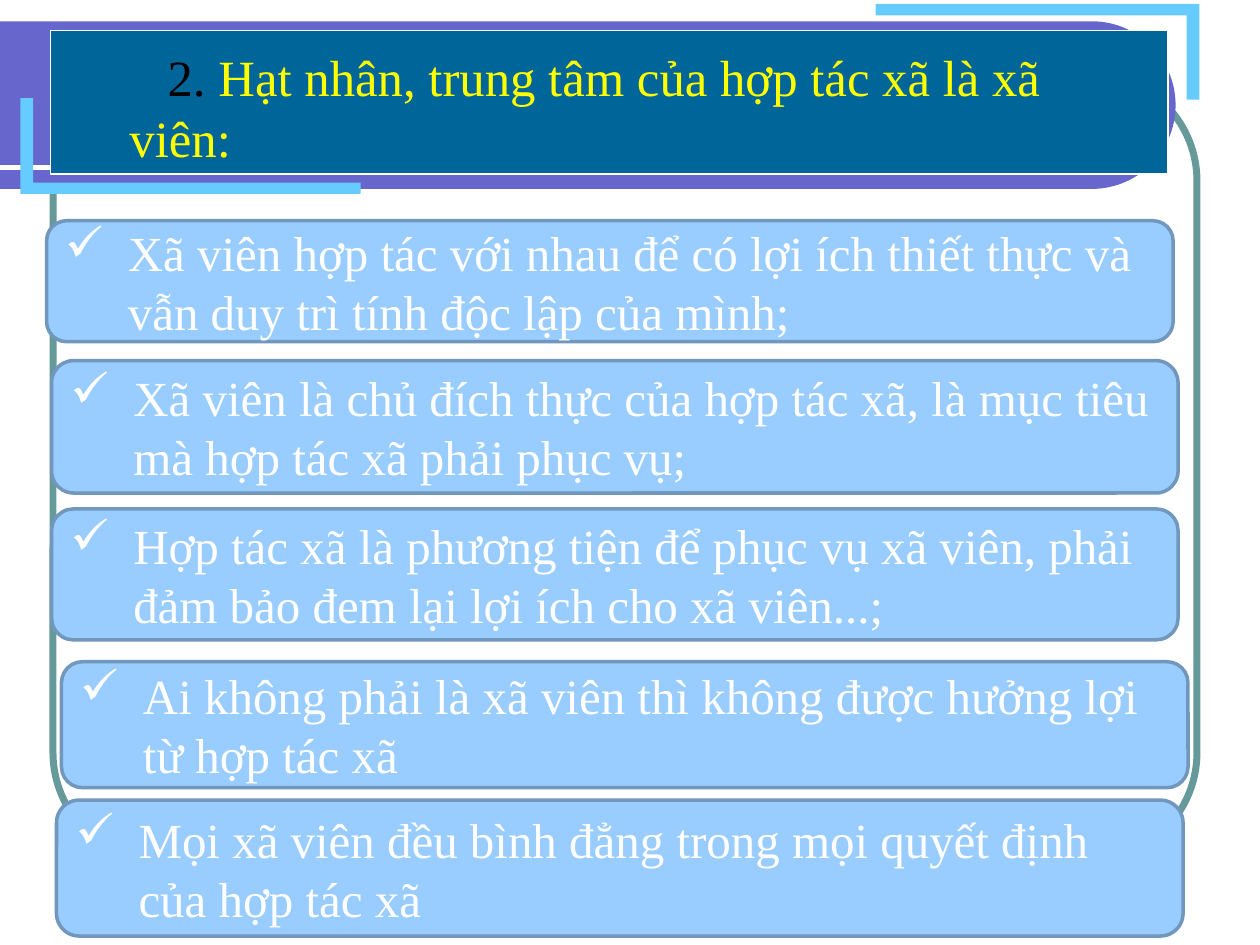
import math

import pptx
import pptx.dml.color
import pptx.enum.shapes
import pptx.enum.text
import pptx.oxml
import pptx.oxml.ns
import pptx.util

RGBColor = pptx.dml.color.RGBColor
Cm = pptx.util.Cm
Pt = pptx.util.Pt
MSO_SHAPE = pptx.enum.shapes.MSO_SHAPE

WHITE = RGBColor(0xFF, 0xFF, 0xFF)
BLACK = RGBColor(0x00, 0x00, 0x00)
YELLOW = RGBColor(0xFF, 0xFF, 0x00)
TEAL = RGBColor(0x66, 0x99, 0x99)
PURPLE = RGBColor(0x66, 0x66, 0xCC)
SKY = RGBColor(0x66, 0xCC, 0xFF)
NAVY = RGBColor(0x00, 0x66, 0x99)
PALE_BLUE = RGBColor(0x99, 0xCC, 0xFF)
STEEL = RGBColor(0x71, 0x97, 0xBD)

FONT = "Times New Roman"
TITLE_RUNS = [
    ("2. ", BLACK),
    ("Hạt nhân, trung tâm của hợp tác xã là xã viên:", YELLOW),
]
CARD_WIDTH = 22.71
# left, top, height in cm, then the wording
CARDS = [
    (0.94, 4.45, 2.44, "Xã viên hợp tác với nhau để có lợi ích thiết thực và vẫn duy trì tính độc lập của mình;"),
    (1.04, 7.27, 2.67, "Xã viên là chủ đích thực của hợp tác xã, là mục tiêu mà hợp tác xã phải phục vụ;"),
    (1.04, 10.26, 2.64, "Hợp tác xã là phương tiện để phục vụ xã viên, phải đảm bảo đem lại lợi ích cho xã viên...;"),
    (1.24, 13.34, 2.54, "Ai không phải là xã viên thì không được hưởng lợi từ hợp tác xã"),
    (1.14, 16.13, 2.74, "Mọi xã viên đều bình đẳng trong mọi quyết định của hợp tác xã"),
]


def style(shape, fill=None, line=None, line_width=1):
    shape.shadow.inherit = False
    for part, color in ((shape.fill, fill), (shape.line.fill, line)):
        if color is None:
            part.background()
        else:
            part.solid()
            part.fore_color.rgb = color
    if line is not None:
        shape.line.width = Pt(line_width)


def add_box(slide, kind, left, top, width, height, **look):
    shape = slide.shapes.add_shape(kind, Cm(left), Cm(top), Cm(width), Cm(height))
    style(shape, **look)
    return shape


def add_outline(slide, points, fill):
    corners = [(Cm(x), Cm(y)) for x, y in points]
    builder = slide.shapes.build_freeform(*corners[0])
    builder.add_line_segments(corners[1:], close=True)
    style(builder.convert_to_shape(), fill=fill)


def add_band(slide, top, bottom, right):
    """Draw a band from the left slide edge that ends in a half circle."""
    radius = (bottom - top) / 2
    angles = [math.radians(degree) for degree in range(-90, 91, 3)]
    arc = [(right - radius + radius * math.cos(angle), top + radius + radius * math.sin(angle))
           for angle in angles]
    add_outline(slide, [(0, top)] + arc + [(0, bottom)], PURPLE)


def add_bracket(slide, corner_x, corner_y, width, height):
    """Draw an L from its outer corner; the signs of the sizes set its direction."""
    bar_x, bar_y = math.copysign(0.26, width), math.copysign(0.23, height)
    offsets = [(0, 0), (width, 0), (width, bar_y), (bar_x, bar_y), (bar_x, height), (0, height)]
    add_outline(slide, [(corner_x + x, corner_y + y) for x, y in offsets], SKY)


def add_run(paragraph, text, size, color):
    run = paragraph.add_run()
    run.text = text
    run.font.name = FONT
    run.font.size = Pt(size)
    run.font.color.rgb = color


def set_indent(paragraph, left, first_line, bullet=None):
    properties = paragraph._p.get_or_add_pPr()
    properties.set("marL", str(Cm(left)))
    properties.set("indent", str(Cm(first_line)))
    if bullet:
        mark = pptx.oxml.parse_xml(f'<a:buChar {pptx.oxml.ns.nsdecls("a")} char="{bullet}"/>')
        properties.append(mark)


def add_frame(slide):
    border = add_box(slide, MSO_SHAPE.ROUNDED_RECTANGLE, 1.07, 1.47, 23.06, 15.88,
                     line=TEAL, line_width=4)
    border.adjustments[0] = 0.137
    add_band(slide, 0.43, 3.81, 23.7)
    rule = slide.shapes.add_connector(
        pptx.enum.shapes.MSO_CONNECTOR.STRAIGHT, Cm(0), Cm(3.38), Cm(22.43), Cm(3.38))
    rule.line.color.rgb = WHITE
    rule.line.width = Pt(3)
    rule._element.spPr.append(
        pptx.oxml.parse_xml(f'<a:effectLst {pptx.oxml.ns.nsdecls("a")}/>'))
    add_bracket(slide, 0.41, 3.91, 6.86, -1.93)
    add_bracket(slide, 24.18, 0.08, -6.53, 1.93)


def add_title(slide):
    add_box(slide, MSO_SHAPE.RECTANGLE, 1.02, 0.61, 22.53, 2.9,
            fill=NAVY, line=WHITE, line_width=0.75)
    box = slide.shapes.add_textbox(Cm(2.36), Cm(0.79), Cm(20.12), Cm(2.72))
    box.text_frame.word_wrap = True
    paragraph = box.text_frame.paragraphs[0]
    set_indent(paragraph, 0, 0.77)
    for text, color in TITLE_RUNS:
        add_run(paragraph, text, 29, color)


def add_card(slide, left, top, height, text):
    card = add_box(slide, MSO_SHAPE.ROUNDED_RECTANGLE, left, top, CARD_WIDTH, height,
                   fill=PALE_BLUE, line=STEEL, line_width=2)
    frame = card.text_frame
    frame.word_wrap = True
    frame.vertical_anchor = pptx.enum.text.MSO_ANCHOR.MIDDLE
    paragraph = frame.paragraphs[0]
    paragraph.alignment = pptx.enum.text.PP_ALIGN.LEFT
    set_indent(paragraph, 1.27, -1.27, bullet="✓")
    add_run(paragraph, text, 28, WHITE)


def main():
    presentation = pptx.Presentation()
    presentation.slide_width, presentation.slide_height = Cm(25.4), Cm(19.05)
    slide = presentation.slides.add_slide(presentation.slide_layouts[6])
    add_frame(slide)
    add_title(slide)
    for card in CARDS:
        add_card(slide, *card)
    presentation.save("out.pptx")


if __name__ == "__main__":
    main()
